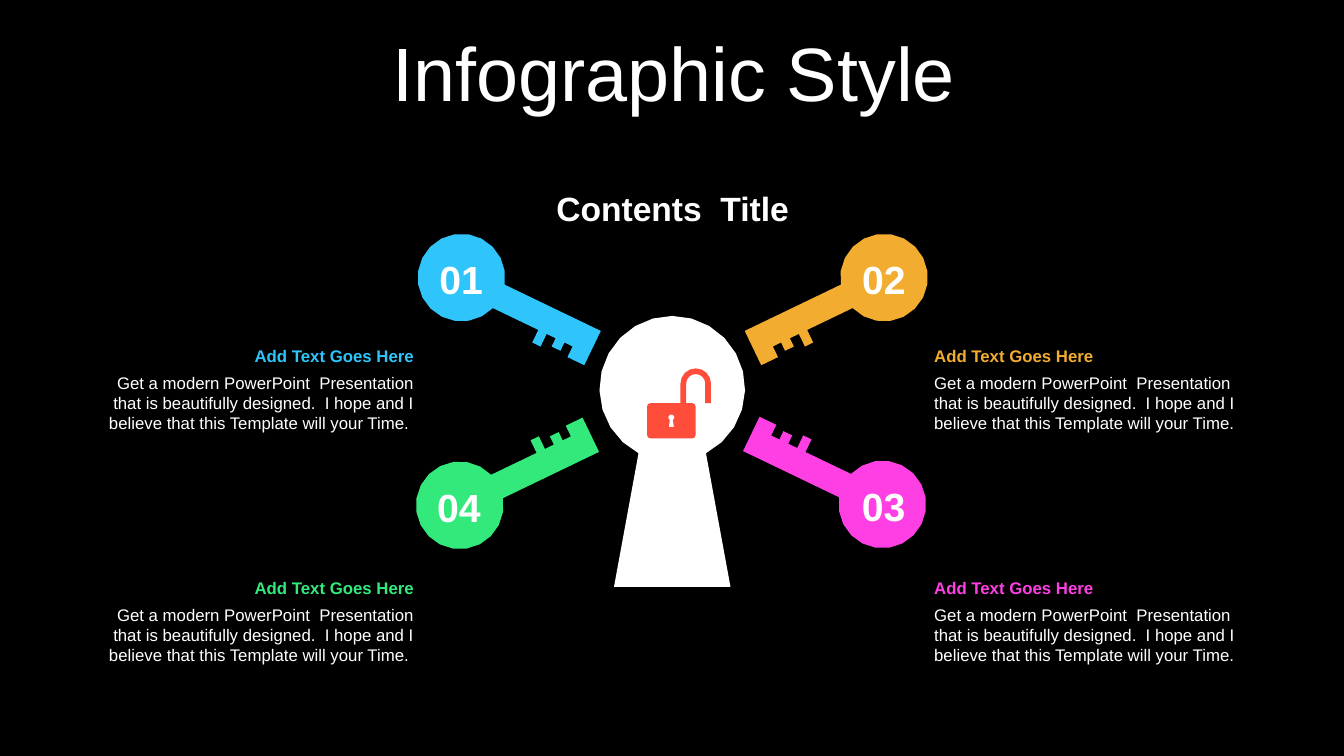
from math import asin, cos, degrees, radians, sin

from pptx import Presentation
from pptx.dml.color import RGBColor
from pptx.enum.text import MSO_ANCHOR, MSO_AUTO_SIZE, PP_ALIGN
from pptx.util import Pt

LEFT, CENTER, RIGHT = PP_ALIGN.LEFT, PP_ALIGN.CENTER, PP_ALIGN.RIGHT
TOP, MIDDLE = MSO_ANCHOR.TOP, MSO_ANCHOR.MIDDLE
NO_FIT, GROW = MSO_AUTO_SIZE.NONE, MSO_AUTO_SIZE.SHAPE_TO_FIT_TEXT

COLORS = {
    "black": "000000",
    "white": "FFFFFF",
    "blue": "2FC5FA",
    "orange": "F2AC30",
    "pink": "FE3FE4",
    "green": "33E97C",
    "red": "FE4D3B",
}

KEY_WIDTH, BOW_RADIUS, KEY_ANGLE = 137.5, 31.3, 25.7
SHAFT_TOP, SHAFT_BOTTOM = 22.5, 41.2
TEETH = [(124.2, 137.5, 49.7), (110.7, 117.7, 47.8), (97, 103.6, 51.2)]
BODY_TEXT = (
    "Get a modern PowerPoint  Presentation that is beautifully designed.  "
    "I hope and I believe that this Template will your Time."
)


def arc(x, y, radius, start, end, steps):
    angles = [radians(start + (end - start) * step / steps) for step in range(steps + 1)]
    return [(x + radius * cos(angle), y + radius * sin(angle)) for angle in angles]


def key_outline():
    upper = degrees(asin((SHAFT_TOP - BOW_RADIUS) / BOW_RADIUS))
    lower = degrees(asin((SHAFT_BOTTOM - BOW_RADIUS) / BOW_RADIUS))
    points = arc(BOW_RADIUS, BOW_RADIUS, BOW_RADIUS, lower, 360 + upper, 18)
    points.append((KEY_WIDTH, SHAFT_TOP))
    for inner, outer, depth in TEETH:
        if outer < KEY_WIDTH:
            points.append((outer, SHAFT_BOTTOM))
        points += [(outer, depth), (inner, depth), (inner, SHAFT_BOTTOM)]
    return points


class Infographic:
    font_name = "Arial"

    def __init__(self, slide):
        self.slide = slide
        self.slide.background.fill.solid()
        self.slide.background.fill.fore_color.rgb = self.color("black")

    def color(self, name):
        return RGBColor.from_string(COLORS[name])

    def text(self, text, left, top, width, height, size, color="white", bold=False,
             align=LEFT, anchor=MIDDLE, fit=GROW):
        shape = self.slide.shapes.add_textbox(Pt(left), Pt(top), Pt(width), Pt(height))
        frame = shape.text_frame
        frame.word_wrap = True
        frame.auto_size = fit
        frame.vertical_anchor = anchor
        paragraph = frame.paragraphs[0]
        paragraph.text = text
        paragraph.alignment = align
        font = paragraph.font
        font.name, font.size, font.bold = self.font_name, Pt(size), bold
        font.color.rgb = self.color(color)
        return paragraph

    def outline(self, contours, color):
        contours = [[(Pt(x), Pt(y)) for x, y in contour] for contour in contours]
        builder = self.slide.shapes.build_freeform(*contours[0][0])
        builder.add_line_segments(contours[0][1:])
        for contour in contours[1:]:
            builder.move_to(*contour[0])
            builder.add_line_segments(contour[1:])
        shape = builder.convert_to_shape()
        shape.shadow.inherit = False
        shape.fill.solid()
        shape.fill.fore_color.rgb = self.color(color)
        shape.line.fill.background()
        return shape

    def key(self, left, top, color, mirror_x, mirror_y):
        points = [
            (left + (KEY_WIDTH - x if mirror_x else x),
             top + (2 * BOW_RADIUS - y if mirror_y else y))
            for x, y in key_outline()
        ]
        shape = self.outline([points], color)
        shape.rotation = KEY_ANGLE if mirror_x == mirror_y else 360 - KEY_ANGLE

    def number(self, text, left, top):
        self.text(text, left, top, 53.3, 41.2, 28, bold=True, align=CENTER)

    def callout(self, left, top, width, color, align):
        body = BODY_TEXT + (" " if align == RIGHT else "")
        self.text(body, left, top + 19.2, width, 51, 12, align=align, anchor=TOP)
        self.text("Add Text Goes Here", left, top, width, 21.8, 12, color, True, align)

    def keyhole(self):
        head = arc(480.2, 277.7, 52, 117.6, 422.4, 20)
        self.outline([head + [(521.8, 419.2), (438.6, 419.2)]], "white")

    def padlock(self):
        left, top, right, bottom, corner = 462.2, 287.9, 497, 313.2, 2.6
        shackle_x, shackle_y, outer_radius, inner_radius = 497, 274, 10.9, 6.8
        body = []
        for x, y, start in [
            (right - corner, top + corner, 270),
            (right - corner, bottom - corner, 0),
            (left + corner, bottom - corner, 90),
            (left + corner, top + corner, 180),
        ]:
            body += arc(x, y, corner, start, start + 90, 2)
        shackle = [
            (shackle_x - outer_radius, top),
            *arc(shackle_x, shackle_y, outer_radius, 180, 360, 8),
            (shackle_x + outer_radius, top),
            (shackle_x + inner_radius, top),
            *arc(shackle_x, shackle_y, inner_radius, 360, 180, 8),
            (shackle_x - inner_radius, top),
        ]
        hole = arc(479.6, 298.2, 2.2, 120, 420, 8) + [(481.4, 305.2), (477.8, 305.2)]
        self.outline([body + shackle, hole], "red")


def main():
    presentation = Presentation()
    presentation.slide_width, presentation.slide_height = Pt(960), Pt(540)
    slide = presentation.slides.add_slide(presentation.slide_layouts[6])
    infographic = Infographic(slide)

    title = infographic.text("Infographic Style", 25.5, 26.6, 911.5, 56.9, 54,
                             align=CENTER, fit=NO_FIT)
    title.line_spacing = 0.9
    title.space_before = Pt(10)

    infographic.keyhole()
    for number, color, key_left, key_top, number_left, number_top, on_right, below in [
        ("01", "blue", 294.6, 183.2, 302.8, 178.7, False, False),
        ("02", "orange", 529, 183.2, 604.8, 178.7, True, False),
        ("03", "pink", 527.8, 312.8, 604.6, 340.8, True, True),
        ("04", "green", 293.4, 313.4, 301.2, 341.5, False, True),
    ]:
        infographic.key(key_left, key_top, color, on_right, below)
        infographic.number(number, number_left, number_top)
        left, width, align = (660.2, 234, LEFT) if on_right else (65.2, 237.6, RIGHT)
        infographic.callout(left, 409.3 if below else 243.4, width, color, align)

    infographic.text("Contents  Title", 374, 130.5, 213, 36.3, 24, bold=True, align=CENTER)
    infographic.padlock()
    presentation.save("out.pptx")


if __name__ == "__main__":
    main()
